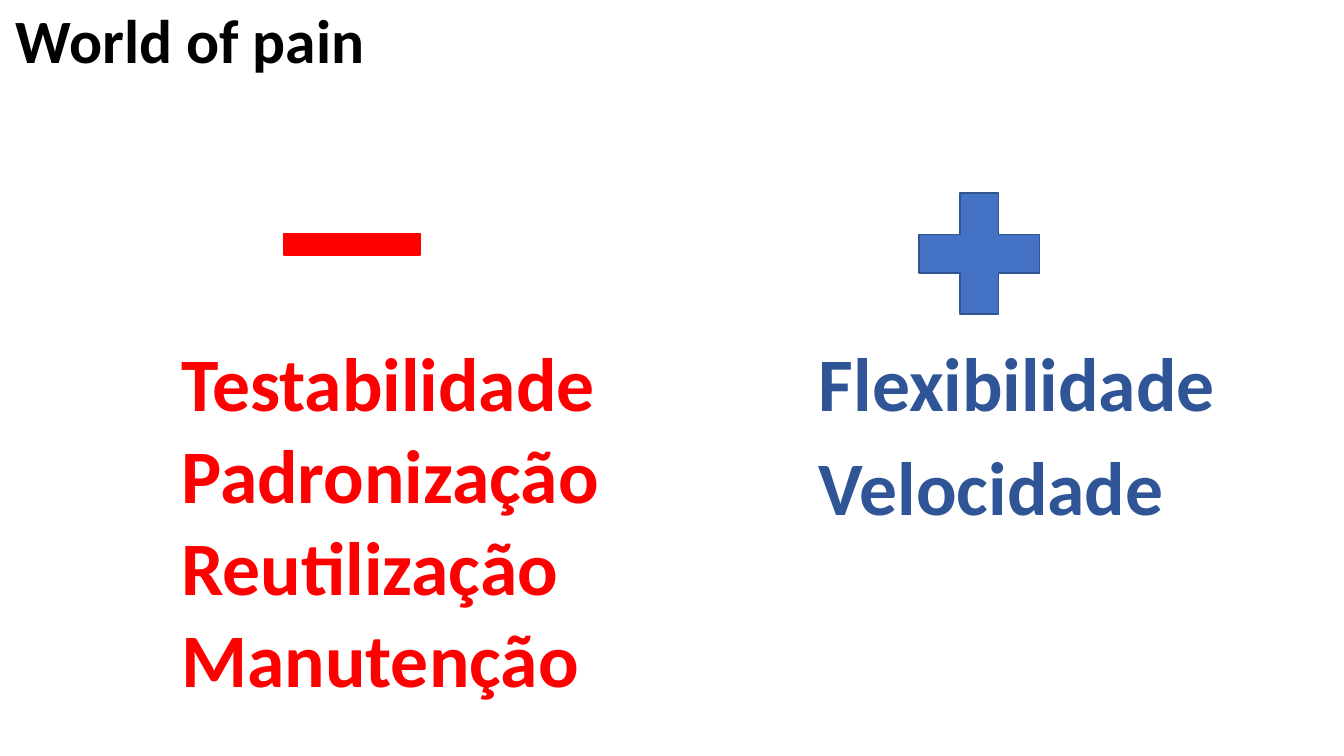
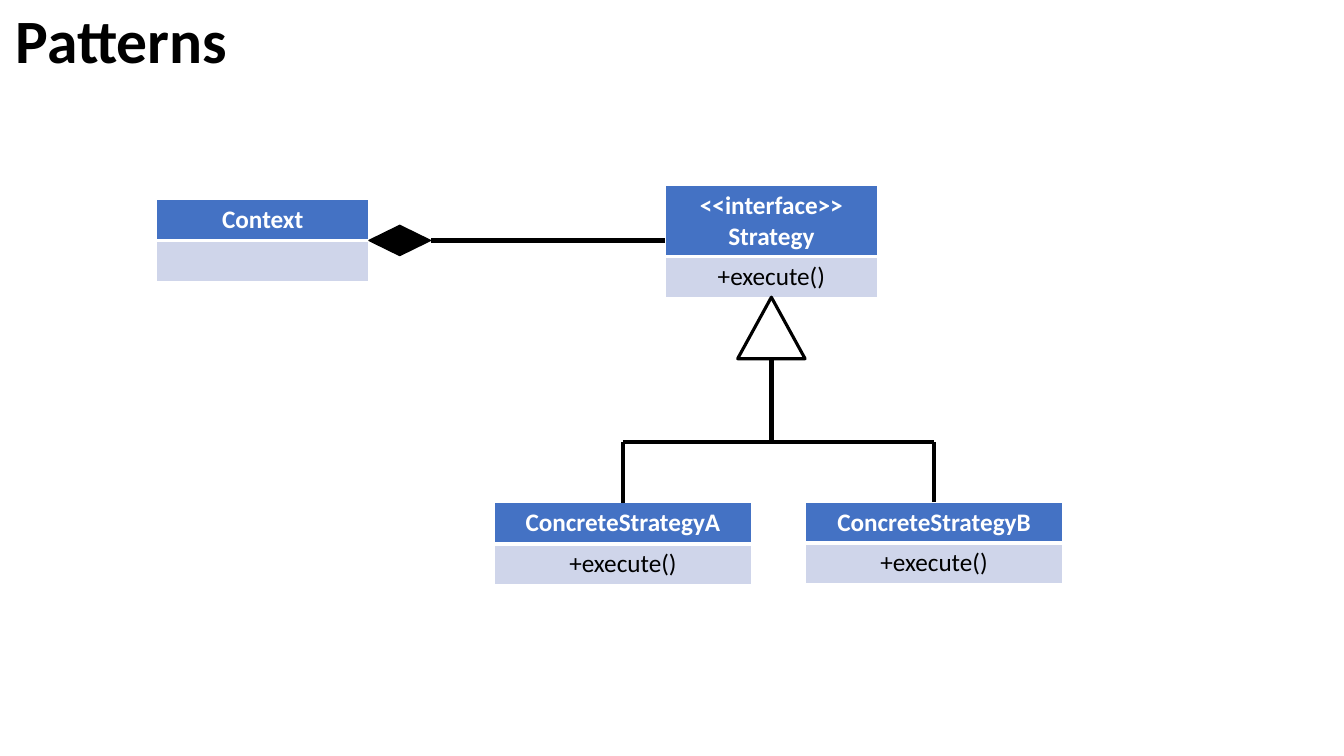
from lxml.etree import SubElement
from pptx import Presentation
from pptx.dml.color import RGBColor
from pptx.enum.shapes import MSO_CONNECTOR, MSO_SHAPE
from pptx.enum.text import MSO_ANCHOR, PP_ALIGN
from pptx.oxml.ns import qn
from pptx.util import Cm, Pt

FONT = "Calibri"
COLORS = {
    "black": "000000", "white": "FFFFFF", "red": "FF0000",
    "blue": "4472C4", "edge": "325491", "navy": "2F5597", "pale": "CFD5EA",
}
ROW = 1.03


def rgb(name):
    return RGBColor.from_string(COLORS[name])


def style(frame, size, color, bold, align=PP_ALIGN.LEFT):
    for para in frame.paragraphs:
        para.alignment = align
        for run in para.runs:
            run.font.name = FONT
            run.font.size = Pt(size)
            run.font.bold = bold
            run.font.color.rgb = rgb(color)


def label(slide, text, box, size, color):
    frame = slide.shapes.add_textbox(*map(Cm, box)).text_frame
    frame.word_wrap = True
    frame.vertical_anchor = MSO_ANCHOR.TOP
    frame.margin_left = frame.margin_right = Cm(0.4)
    frame.margin_top = frame.margin_bottom = Cm(0.25)
    frame.text = text
    frame.paragraphs[0].line_spacing = 0.9
    style(frame, size, color, True)


def shape(slide, kind, box, fill, line, width=1):
    item = slide.shapes.add_shape(kind, *map(Cm, box))
    item.shadow.inherit = False
    if fill:
        item.fill.solid()
        item.fill.fore_color.rgb = rgb(fill)
    else:
        item.fill.background()
    item.line.color.rgb = rgb(line)
    item.line.width = Pt(width)
    return item


def link(slide, x1, y1, x2, y2):
    line = slide.shapes.add_connector(
        MSO_CONNECTOR.STRAIGHT, Cm(x1), Cm(y1), Cm(x2), Cm(y2))
    line.line.color.rgb = rgb("black")
    line.line.width = Pt(3)
    SubElement(line._element.spPr, qn("a:effectLst"))
    return line


def page(deck, title):
    slide = deck.slides.add_slide(deck.slide_layouts[6])
    label(slide, title, (0, 0, 21.08, 2.59), 44, "black")
    return slide


# Column of words under a sign
def column(slide, left, top, words, step, color):
    for i, word in enumerate(words):
        label(slide, word, (left, top + i * step, 13.03, 2.32), 54, color)


def borders(cell, under):
    props = cell._tc.get_or_add_tcPr()
    for side, width in (("L", 1), ("R", 1), ("T", 1), ("B", under)):
        line = SubElement(props, qn("a:ln" + side), w=str(Pt(width)))
        fill = SubElement(line, qn("a:solidFill"))
        SubElement(fill, qn("a:srgbClr"), val=COLORS["white"])


# Class box: a name row above a method row
def entity(slide, left, top, width, name, method="", head=ROW):
    table = slide.shapes.add_table(
        2, 1, Cm(left), Cm(top), Cm(width), Cm(head + ROW)).table
    table.horz_banding = False
    rows = ((name, head, "blue", "white", True, 3),
            (method, ROW, "pale", "black", False, 1))
    for i, (text, height, fill, color, bold, under) in enumerate(rows):
        table.rows[i].height = Cm(height)
        cell = table.cell(i, 0)
        borders(cell, under)
        cell.fill.solid()
        cell.fill.fore_color.rgb = rgb(fill)
        cell.text_frame.text = text
        style(cell.text_frame, 18, color, bold, PP_ALIGN.CENTER)


# Filled diamond at the owner, line to the part
def owns(slide, left, right, mid):
    tip = shape(slide, MSO_SHAPE.FLOWCHART_DECISION,
                (left, mid - 0.38, 1.55, 0.76), "black", "black")
    line = link(slide, right, mid, left + 1.55, mid)
    line.end_connect(tip, 3)


# Hollow triangle under the parent, branches to the children
def inherits(slide, mid, top, bar, children):
    wide, tall = 1.7, 1.55
    shape(slide, MSO_SHAPE.ISOSCELES_TRIANGLE,
          (mid - wide / 2, top, wide, tall), None, "black", 2.25)
    link(slide, mid, bar, mid, top + tall)
    for x, y in children:
        link(slide, x, y, x, bar)
    link(slide, children[0][0], bar, children[-1][0], bar)


def pains(deck):
    slide = page(deck, "World of pain")
    top, minus, plus = 8.48, 4.17, 20.24
    column(slide, minus, top,
           ("Testabilidade", "Padronização", "Reutilização", "Manutenção"),
           2.32, "red")
    column(slide, plus, top, ("Flexibilidade", "Velocidade"), 2.62, "navy")
    # Signs
    shape(slide, MSO_SHAPE.MATH_PLUS,
          (plus + 2.37, top - 4.16, 4.14, 4.14), "blue", "edge")
    shape(slide, MSO_SHAPE.MATH_MINUS,
          (minus + 2.37, top - 3.48, 4.67, 2.31), "red", "red")


def patterns(deck):
    slide = page(deck, "Patterns")
    wide, broad, head = 5.36, 6.5, 1.79
    own, part = (3.94, 5.03), (16.76, 4.67)
    kids = ((12.45, 12.67), (20.29, 12.65))
    # Classes
    entity(slide, *own, wide, "Context")
    entity(slide, *part, wide, "<<interface>>\nStrategy", "+execute()", head)
    for (left, top), mark in zip(kids, "AB"):
        entity(slide, left, top, broad, "ConcreteStrategy" + mark, "+execute()")
    # Relations
    inherits(slide, part[0] + wide / 2, part[1] + head + ROW, 11.13,
             [(left + broad / 2, top) for left, top in kids])
    owns(slide, own[0] + wide, part[0], own[1] + ROW)


def main():
    deck = Presentation()
    deck.slide_width, deck.slide_height = Cm(33.87), Cm(19.05)
    pains(deck)
    patterns(deck)
    deck.save("out.pptx")


if __name__ == "__main__":
    main()
